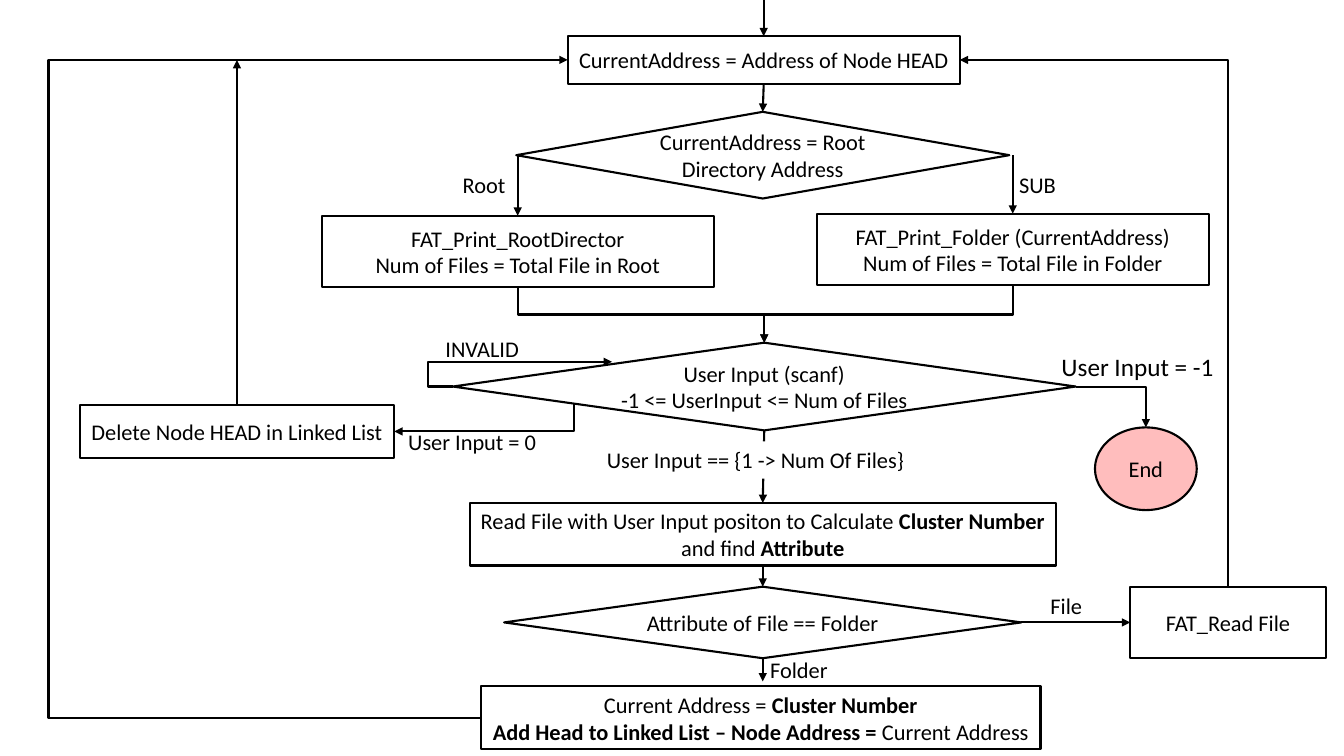
import dataclasses

import pptx
import pptx.dml.color
import pptx.enum.shapes
import pptx.enum.text
import pptx.oxml.ns
import pptx.util
from lxml import etree

SHAPE = pptx.enum.shapes.MSO_SHAPE
CONNECTOR = pptx.enum.shapes.MSO_CONNECTOR
ALIGN = pptx.enum.text.PP_ALIGN
qn = pptx.oxml.ns.qn

# The grid: ten columns and ten rows to the inch
COLUMNS, ROWS = 133.3, 75


@dataclasses.dataclass(frozen=True)
class Theme:
    font: str = "Calibri"
    ink: str = "000000"
    paper: str = "FFFFFF"
    end_fill: str = "FF0000"
    end_opacity: float = 0.26
    body: int = 16
    large: int = 18
    stroke: float = 1.5


@dataclasses.dataclass(frozen=True)
class Node:
    """Grid rectangle of a flowchart step, with the middle of each side."""
    left: float
    top: float
    width: float
    height: float

    @property
    def west(self):
        return self.left, self.top + self.height / 2

    @property
    def east(self):
        return self.left + self.width, self.top + self.height / 2

    @property
    def north(self):
        return self.left + self.width / 2, self.top

    @property
    def south(self):
        return self.left + self.width / 2, self.top + self.height


def colour(value):
    return pptx.dml.color.RGBColor.from_string(value)


def fill_text(frame, text, *, font, size, ink, align):
    """Each line is a paragraph; ** switches bold on and off."""
    frame.word_wrap = True
    for number, line in enumerate(text.split("\n")):
        para = frame.add_paragraph() if number else frame.paragraphs[0]
        para.alignment = align
        for index, part in enumerate(line.split("**")):
            if part:
                span = para.add_run()
                span.text = part
                span.font.name, span.font.size = font, pptx.util.Pt(size)
                span.font.bold = index % 2 == 1
                span.font.color.rgb = colour(ink)


class Flowchart:
    def __init__(self, deck, theme):
        self.theme = theme
        self.page = deck.slides.add_slide(deck.slide_layouts[6])
        self.column = deck.slide_width / COLUMNS
        self.row = deck.slide_height / ROWS

    def place(self, across, down):
        return round(across * self.column), round(down * self.row)

    def caption(self, box, text, align, size=None):
        fill_text(box.text_frame, text, font=self.theme.font, ink=self.theme.ink,
                  size=size or self.theme.body, align=align)

    def step(self, kind, text, left, top, width, height, fill=None, opacity=1):
        box = self.page.shapes.add_shape(
            kind, *self.place(left, top), *self.place(width, height))
        box.shadow.inherit = False
        box.line.color.rgb = colour(self.theme.ink)
        box.line.width = pptx.util.Pt(self.theme.stroke)
        if fill:
            box.fill.solid()
            box.fill.fore_color.rgb = colour(fill)
            tint = box._element.spPr.find(qn("a:solidFill")).find(qn("a:srgbClr"))
            etree.SubElement(tint, qn("a:alpha"), val=str(round(opacity * 100000)))
        else:
            box.fill.background()
        box.text_frame.vertical_anchor = pptx.enum.text.MSO_ANCHOR.MIDDLE
        self.caption(box, text, ALIGN.CENTER)
        return Node(left, top, width, height)

    def label(self, text, left, top, width, height=3.7, size=None, fill=None):
        box = self.page.shapes.add_textbox(
            *self.place(left, top), *self.place(width, height))
        if fill:
            box.fill.solid()
            box.fill.fore_color.rgb = colour(fill)
        self.caption(box, text, ALIGN.LEFT, size)
        box.text_frame.auto_size = pptx.enum.text.MSO_AUTO_SIZE.SHAPE_TO_FIT_TEXT

    def connect(self, kind, begin, end):
        link = self.page.shapes.add_connector(kind, *begin, *end)
        link.line.color.rgb = colour(self.theme.ink)
        link.line.width = pptx.util.Pt(self.theme.stroke)
        properties = link._element.spPr
        etree.SubElement(properties.find(qn("a:ln")), qn("a:tailEnd"), type="triangle")
        etree.SubElement(properties, qn("a:effectLst"))
        return link

    def arrow(self, begin, end):
        self.connect(CONNECTOR.STRAIGHT, self.place(*begin), self.place(*end))

    def elbow(self, begin, end, via=None, vertical=False):
        """Bent arrow: via is the grid line of its middle leg, none for one corner."""
        ends = [self.place(*begin), self.place(*end)]
        if vertical:  # lay it out a quarter turn back, then rotate it
            middle_x = (ends[0][0] + ends[1][0]) // 2
            middle_y = (ends[0][1] + ends[1][1]) // 2
            ends = [(middle_x + y - middle_y, middle_y - x + middle_x) for x, y in ends]
        link = self.connect(CONNECTOR.ELBOW, *ends)
        properties = link._element.spPr
        if vertical:
            properties.find(qn("a:xfrm")).set("rot", "5400000")
        geometry = properties.find(qn("a:prstGeom"))
        if via is None:
            geometry.set("prst", "bentConnector2")
        else:
            axis = 1 if vertical else 0
            bend = (via - begin[axis]) / (end[axis] - begin[axis])
            etree.SubElement(geometry.find(qn("a:avLst")), qn("a:gd"),
                             name="adj1", fmla=f"val {round(bend * 100000)}")


deck = pptx.Presentation()
deck.slide_width, deck.slide_height = pptx.util.Inches(13.33), pptx.util.Inches(7.5)
theme = Theme()
chart = Flowchart(deck, theme)

# Steps and decisions
head = chart.step(SHAPE.RECTANGLE, "CurrentAddress = Address of Node HEAD",
                  56.3, 3.6, 38.9, 4.7)
is_root = chart.step(SHAPE.DIAMOND, "CurrentAddress = Root Directory Address",
                     51.2, 11.1, 48.9, 8.6)
print_root = chart.step(
    SHAPE.RECTANGLE, "FAT_Print_RootDirector\nNum of Files = Total File in Root",
    31.9, 21.4, 38.9, 7.1)
print_folder = chart.step(
    SHAPE.RECTANGLE, "FAT_Print_Folder (CurrentAddress)\nNum of Files = Total File in Folder",
    81, 21.2, 38.9, 7.1)
user_input = chart.step(
    SHAPE.DIAMOND, "User Input (scanf)\n-1 <= UserInput <= Num of Files",
    44.9, 34, 61.8, 8.7)
delete_head = chart.step(SHAPE.RECTANGLE, "Delete Node HEAD in Linked List",
                         7.9, 40.2, 31.2, 5.2)
finish = chart.step(SHAPE.OVAL, "End", 108.6, 42.4, 10.1, 8.2,
                    fill=theme.end_fill, opacity=theme.end_opacity)
read_cluster = chart.step(
    SHAPE.RECTANGLE,
    "Read File with User Input positon to Calculate **Cluster Number **and find **Attribute**",
    46.6, 49.9, 58.1, 6.2)
is_folder = chart.step(SHAPE.DIAMOND, "Attribute of File == Folder", 50, 58.2, 51.3, 7.1)
read_file = chart.step(SHAPE.RECTANGLE, "FAT_Read File", 112.1, 58.2, 19.4, 7.1)
add_head = chart.step(
    SHAPE.RECTANGLE,
    "Current Address = **Cluster Number**\n"
    "**Add Head to Linked List – Node Address = **Current Address",
    47.7, 68.1, 55.5, 6.2)

# Straight arrows
chart.arrow((head.north[0], 0), head.north)
for upper, lower in [(head, is_root), (user_input, read_cluster),
                     (read_cluster, is_folder)]:
    chart.arrow(upper.south, lower.north)
chart.arrow(is_folder.south, (is_folder.south[0], 67.6))
for branch in (print_root, print_folder):
    chart.arrow((branch.north[0], is_root.west[1]), branch.north)
chart.arrow(is_folder.east, read_file.west)
chart.arrow(delete_head.north, (delete_head.north[0], head.west[1]))

# Bent arrows
for branch in (print_root, print_folder):
    chart.elbow(branch.south, user_input.north, via=31.2, vertical=True)
chart.elbow(user_input.west, (60.7, 35.9), via=42.4)
chart.elbow((56.9, 40), delete_head.east, vertical=True)
chart.elbow(user_input.east, finish.north)
chart.elbow(add_head.west, head.west, via=4.8)
chart.elbow(read_file.north, head.east, vertical=True)

# Branch labels
for text, left, top, width in [
        ("Root", 44.9, 16.5, 15.7), ("SUB", 100.1, 16.5, 15.7),
        ("INVALID", 43.2, 32.8, 9.4), ("User Input = 0", 39.5, 42, 18.9),
        ("File", 103.2, 58.3, 15.7), ("Folder", 75.4, 64.6, 15.7)]:
    chart.label(text, left, top, width)
chart.label("User Input = -1", 104.3, 34.4, 24.4, 4, size=theme.large)
chart.label("User Input == {1 -> Num Of Files}", 59.2, 43.8, 33.1, fill=theme.paper)

deck.save("out.pptx")
